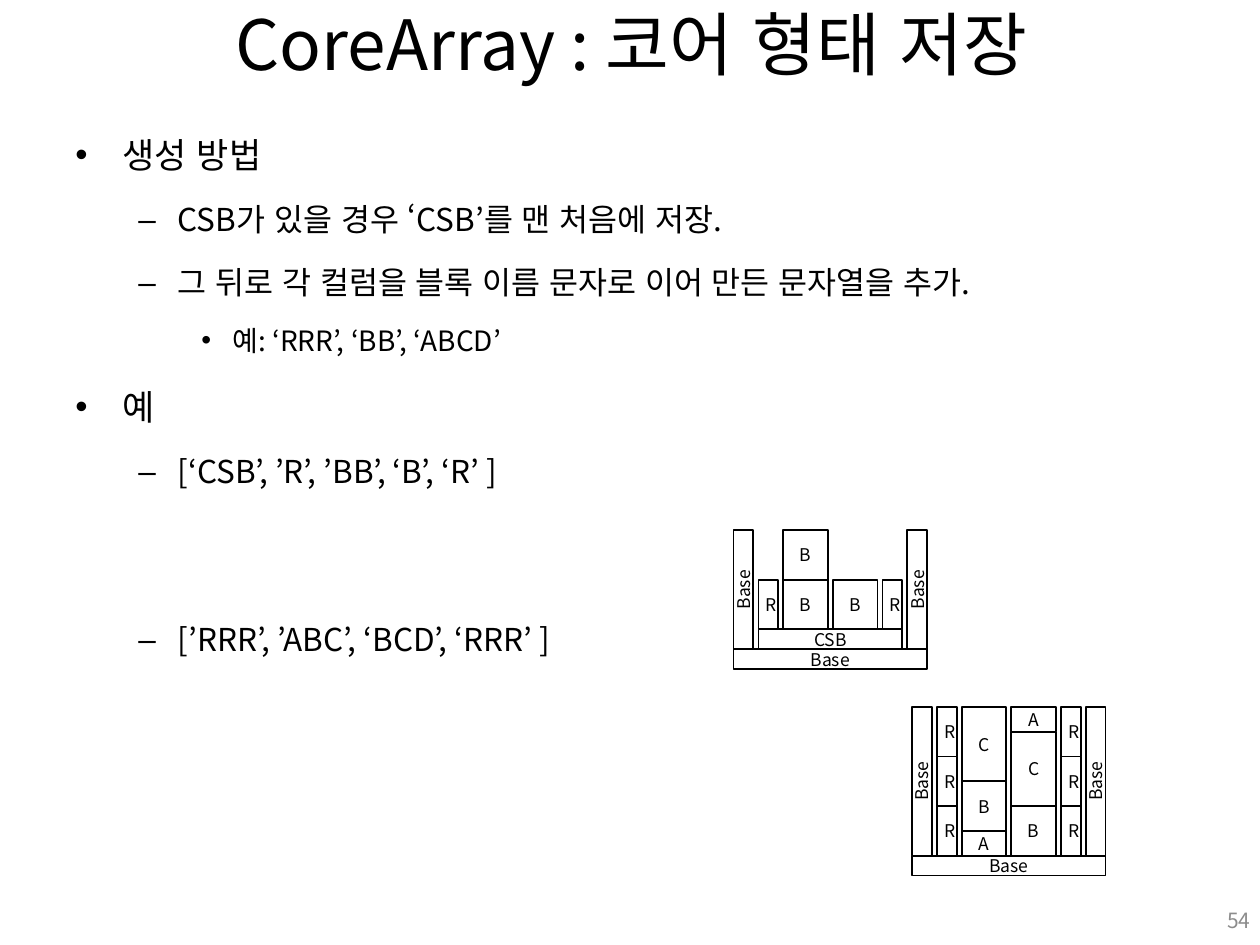
"""Build the CoreArray slide with its outline and two stacked-core diagrams."""
from lxml import etree
from pptx import Presentation
from pptx import util as u
from pptx.dml.color import RGBColor
from pptx.enum import lang, shapes, text
from pptx.oxml import ns

Pt = u.Pt
FONT = "Noto Sans CJK KR"
COLORS = {"ink": "000000", "paper": "FFFFFF", "number": "8C8C8C"}


def write(para, words, size=10, color="ink", align=text.PP_ALIGN.CENTER):
    para.alignment = align
    span = para.add_run()
    span.text = words
    span.font.size = Pt(size)
    span.font.language_id = lang.MSO_LANGUAGE_ID.KOREAN
    span.font.color.rgb = RGBColor.from_string(COLORS[color])
    span.font.name = FONT
    etree.SubElement(span.font._element, ns.qn("a:ea"), typeface=FONT)


def add_block(group, label, left, top, width, height):
    box = group.shapes.add_shape(
        shapes.MSO_SHAPE.RECTANGLE, Pt(left), Pt(top), Pt(width), Pt(height))
    box.shadow.inherit = False
    box.fill.solid()
    box.fill.fore_color.rgb = RGBColor.from_string(COLORS["paper"])
    box.line.color.rgb = RGBColor.from_string(COLORS["ink"])
    box.line.width = Pt(1)
    frame = box.text_frame
    frame.vertical_anchor = text.MSO_ANCHOR.MIDDLE
    if label == "Base" and height > width:
        frame._txBody.bodyPr.set("vert", "vert270")
    write(frame.paragraphs[0], label)


deck = Presentation()
deck.slide_width, deck.slide_height = Pt(720), Pt(540)
page = deck.slides.add_slide(deck.slide_layouts[6])

title = page.shapes.add_textbox(Pt(36.7), Pt(0), Pt(648), Pt(49))
title.text_frame.word_wrap = True
title.text_frame.vertical_anchor = text.MSO_ANCHOR.MIDDLE
write(title.text_frame.paragraphs[0], "CoreArray : 코어 형태 저장", size=39.6)

LEVELS = [
    {"size": 20, "margin": 27, "hang": 27, "bullet": "•"},
    {"size": 18, "margin": 58.5, "hang": 22.5, "bullet": "–"},
    {"size": 16, "margin": 90, "hang": 18, "bullet": "•"},
]
OUTLINE = [
    (0, "생성 방법", 0),
    (1, "CSB가 있을 경우 ‘CSB’를 맨 처음에 저장.", 0),
    (1, "그 뒤로 각 컬럼을 블록 이름 문자로 이어 만든 문자열을 추가.", 0),
    (2, "예: ‘RRR’, ‘BB’, ‘ABCD’", 0),
    (0, "예", 0),
    (1, "[‘CSB’, ’R’, ’BB’, ‘B’, ‘R’ ]", 0),
    (1, "[’RRR’, ’ABC’, ‘BCD’, ‘RRR’ ]", 60),
]
body = page.shapes.add_textbox(Pt(36), Pt(60.5), Pt(648), Pt(422))
body.text_frame.word_wrap = True
for index, (level, words, extra_gap) in enumerate(OUTLINE):
    style = LEVELS[level]
    frame = body.text_frame
    para = frame.add_paragraph() if index else frame.paragraphs[0]
    para.level = level
    para.line_spacing = 1.5
    para.space_before = Pt(style["size"] * 0.2 + extra_gap)
    write(para, words, size=style["size"], align=text.PP_ALIGN.LEFT)
    props = para._p.get_or_add_pPr()
    props.set("marL", str(Pt(style["margin"])))
    props.set("indent", str(-Pt(style["hang"])))
    etree.SubElement(props, ns.qn("a:buFont"), typeface="Arial")
    etree.SubElement(props, ns.qn("a:buChar"), char=style["bullet"])

UNIT = 2.835
BASE, GAP = 4, 1
WIDTHS = [4, 9, 9, 4]
HEIGHTS = {"R": 10, "A": 5, "B": 10, "C": 15}
CORES = [
    {"left": 419.2, "floor": 371, "wall": 24, "csb": 4,
     "columns": ["R", "BB", "B", "R"]},
    {"left": 521.2, "floor": 489, "wall": 30, "csb": 0,
     "columns": ["RRR", "ABC", "BCA", "RRR"]},
]
inner = sum(WIDTHS) + GAP * (len(WIDTHS) - 1)
outer = inner + 2 * (BASE + GAP)
for core in CORES:
    blocks = [("Base", 0, -BASE, outer, BASE)]
    blocks += [("Base", x, 0, BASE, core["wall"]) for x in (0, outer - BASE)]
    x = BASE + GAP
    if core["csb"]:
        blocks.append(("CSB", x, 0, inner, core["csb"]))
    for width, column in zip(WIDTHS, core["columns"]):
        bottom = core["csb"]
        for label in column:
            blocks.append((label, x, bottom, width, HEIGHTS[label]))
            bottom += HEIGHTS[label]
        x += width + GAP
    group = page.shapes.add_group_shape()
    for label, x, bottom, width, height in blocks:
        add_block(group, label, core["left"] + x * UNIT,
                  core["floor"] - (bottom + height) * UNIT,
                  width * UNIT, height * UNIT)

number = page.shapes.add_textbox(Pt(553.7), Pt(511.2), Pt(168), Pt(28.8))
number.text_frame.word_wrap = True
number.text_frame.vertical_anchor = text.MSO_ANCHOR.MIDDLE
write(number.text_frame.paragraphs[0], "54", size=12, color="number",
      align=text.PP_ALIGN.RIGHT)

deck.save("out.pptx")
